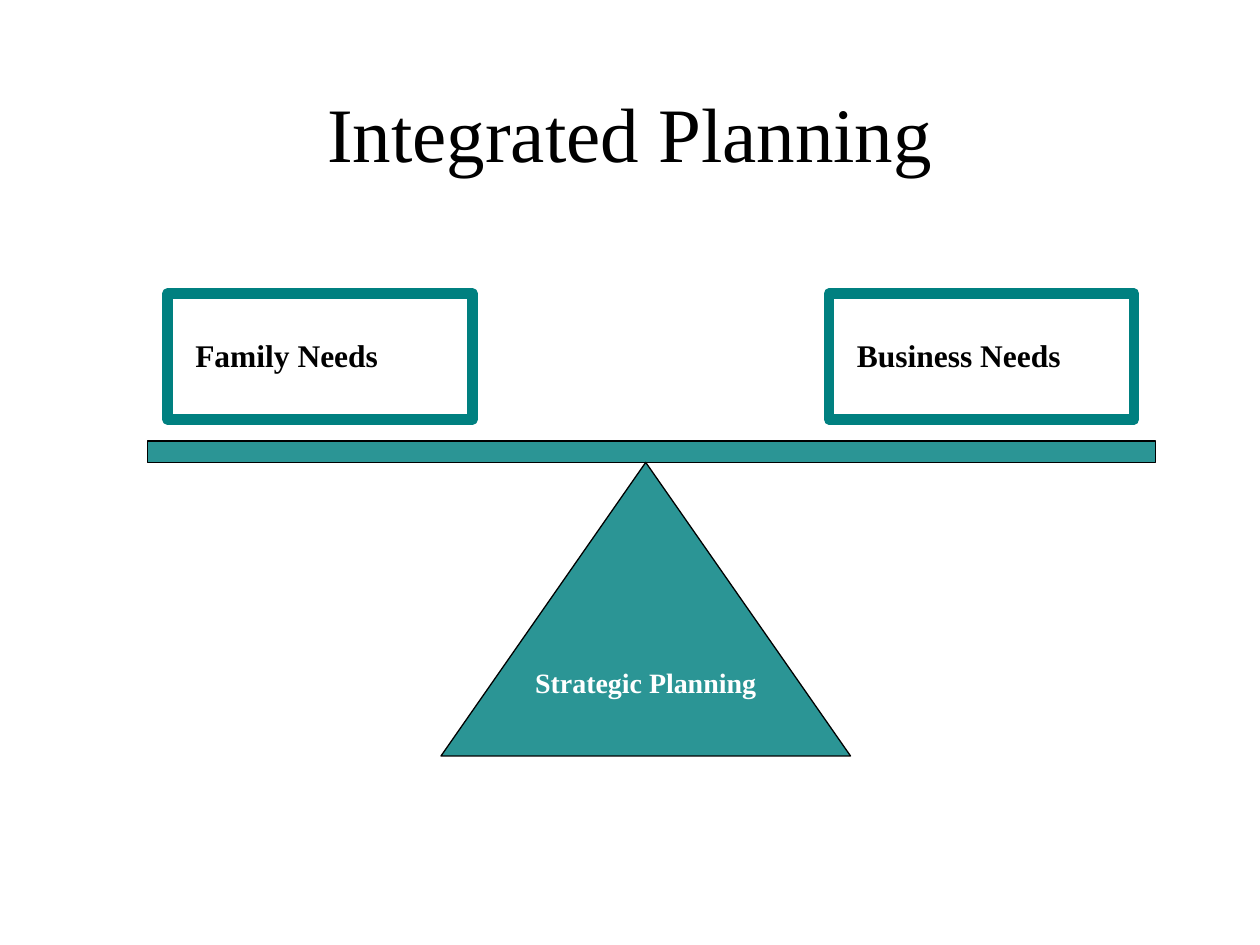
from lxml.etree import SubElement
from pptx import Presentation
from pptx.dml.color import RGBColor
from pptx.enum.shapes import MSO_SHAPE
from pptx.enum.text import MSO_ANCHOR, PP_ALIGN
from pptx.oxml.ns import qn
from pptx.util import Inches, Pt

COLORS = {"ink": "000000", "teal": "008080", "light": "FFFFFF"}


class SlideBuilder:
    """Hold the typeface and current slide, and add styled elements to it."""

    def __init__(self, slide, typeface="Times New Roman"):
        self.slide = slide
        self.typeface = typeface

    def color(self, name):
        return RGBColor.from_string(COLORS[name])

    def label(self, shape, text, size, color="ink", bold=False,
              align=PP_ALIGN.CENTER, anchor=MSO_ANCHOR.MIDDLE, wrap=True):
        frame = shape.text_frame
        frame.word_wrap = wrap
        frame.vertical_anchor = anchor
        paragraph = frame.paragraphs[0]
        paragraph.text = text
        paragraph.alignment = align
        paragraph.font.name = self.typeface
        paragraph.font.size = Pt(size)
        paragraph.font.bold = bold
        paragraph.font.color.rgb = self.color(color)

    def title(self, text, *bounds):
        heading = self.slide.shapes.add_textbox(*map(Inches, bounds))
        self.label(heading, text, 44)

    def outline(self, preset, bounds, line, width):
        shape = self.slide.shapes.add_shape(preset, *map(Inches, bounds))
        shape.shadow.inherit = False
        shape.fill.background()
        shape.line.color.rgb = self.color(line)
        shape.line.width = Pt(width)
        return shape

    def solid(self, preset, *bounds, opacity=83):
        shape = self.outline(preset, bounds, "ink", 0.75)
        shape.fill.solid()
        shape.fill.fore_color.rgb = self.color("teal")
        tint = shape.element.spPr.find(qn("a:solidFill")).find(qn("a:srgbClr"))
        SubElement(tint, qn("a:alpha"), val=str(opacity * 1000))
        return shape

    def need(self, text, left):
        need = self.outline(MSO_SHAPE.RECTANGLE, (left, 2.33, 2.42, 1), "teal", 6)
        need.text_frame.margin_left = Inches(0.22)
        need.text_frame.margin_top = Inches(0.34)
        self.label(need, text, 18, bold=True, align=PP_ALIGN.LEFT,
                   anchor=MSO_ANCHOR.TOP)


def main():
    presentation = Presentation()
    presentation.slide_width = Inches(10)
    presentation.slide_height = Inches(7.5)
    builder = SlideBuilder(
        presentation.slides.add_slide(presentation.slide_layouts[6]))

    builder.title("Integrated Planning", 0.75, 0.42, 8.5, 1.25)
    builder.need("Business Needs", 6.58)
    builder.solid(MSO_SHAPE.RECTANGLE, 1.17, 3.5, 8, 0.17)
    fulcrum = builder.solid(MSO_SHAPE.ISOSCELES_TRIANGLE, 3.5, 3.67, 3.25, 2.33)
    builder.label(fulcrum, "Strategic Planning", 16, "light", bold=True, wrap=False)
    builder.need("Family Needs", 1.33)

    presentation.save("out.pptx")


if __name__ == "__main__":
    main()
